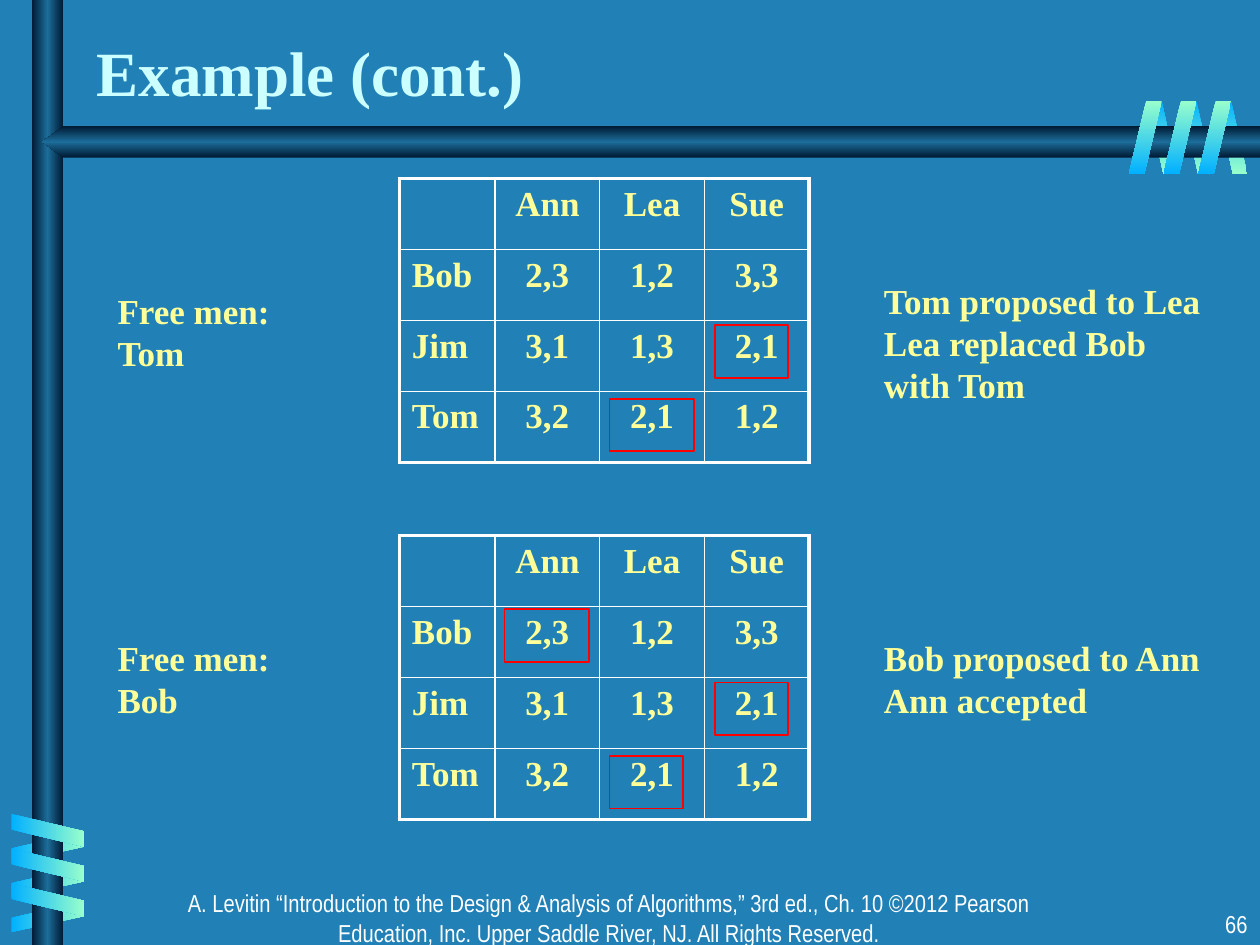
from dataclasses import dataclass

from lxml import etree
from pptx import Presentation
from pptx.dml.color import RGBColor
from pptx.enum.shapes import MSO_SHAPE
from pptx.enum.text import MSO_ANCHOR, PP_ALIGN
from pptx.oxml.ns import qn
from pptx.util import Cm, Pt

PARALLELOGRAM = MSO_SHAPE.PARALLELOGRAM
PENTAGON = MSO_SHAPE.PENTAGON
RECTANGLE = MSO_SHAPE.RECTANGLE
TOP, BOTTOM = MSO_ANCHOR.TOP, MSO_ANCHOR.BOTTOM
LEFT, CENTER, RIGHT = PP_ALIGN.LEFT, PP_ALIGN.CENTER, PP_ALIGN.RIGHT


@dataclass(frozen=True)
class TextStyle:
    """Font, size, colour and weight of one kind of text."""
    font: str
    size: int
    color: str
    bold: bool = False


@dataclass(frozen=True)
class Theme:
    """Colours and text styles of the slide."""
    background: str = "2181B7"
    bar: tuple = ("001932", "1C6D9A", "001932")
    coil: tuple = ("01B0FF", "99FFCC")
    border: str = "FFFFFF"
    mark: str = "FF0000"
    title: TextStyle = TextStyle("Times New Roman", 36, "CCFFFF", True)
    body: TextStyle = TextStyle("Times New Roman", 20, "FFFF99", True)
    footer: TextStyle = TextStyle("Arial Narrow", 14, "FFFFFF")


@dataclass(frozen=True)
class Step:
    """One step of the matching: texts and marked cells as (row, column, width)."""
    free_men: str
    free_men_drop: float
    outcome: str
    marks: tuple


THEME = Theme()
PREFERENCES = (
    ("", "Ann", "Lea", "Sue"),
    ("Bob", "2,3", "1,2", "3,3"),
    ("Jim", "3,1", "1,3", "2,1"),
    ("Tom", "3,2", "2,1", "1,2"),
)
STEPS = (
    Step("Free men:\nTom", 2.12, "Tom proposed to Lea\nLea replaced Bob with Tom",
         ((3, 2, 1.7), (2, 3, 1.48))),
    Step("Free men:\nBob", 1.9, "Bob proposed to Ann\nAnn accepted",
         ((1, 1, 1.7), (2, 3, 1.48), (3, 2, 1.48))),
)


def write(paragraph, text, style, align=LEFT):
    """Put styled text into a paragraph."""
    paragraph.text = text
    paragraph.alignment = align
    font = paragraph.font
    font.name, font.size, font.bold = style.font, Pt(style.size), style.bold
    font.color.rgb = RGBColor.from_string(style.color)


def add_text(slide, box, text, style, align=LEFT, anchor=TOP):
    """Add a wrapped text box; the box is left, top, width, height."""
    frame = slide.shapes.add_textbox(*map(Cm, box)).text_frame
    frame.word_wrap = True
    frame.vertical_anchor = anchor
    write(frame.paragraphs[0], text, style, align)


def add_gradient_shape(slide, kind, box, colors, angle, flip=False):
    """Add an unlined shape with evenly spaced gradient colours."""
    shape = slide.shapes.add_shape(kind, *map(Cm, box))
    shape.shadow.inherit = False
    shape.line.fill.background()
    shape.fill.gradient()
    shape.fill.gradient_angle = angle
    properties = shape.element.spPr
    stops = properties.find(qn("a:gradFill")).find(qn("a:gsLst"))
    for stop in list(stops):
        stops.remove(stop)
    for index, color in enumerate(colors):
        position = 100000 * index // (len(colors) - 1)
        stop = etree.SubElement(stops, qn("a:gs"), pos=str(position))
        etree.SubElement(stop, qn("a:srgbClr"), val=color)
    if flip:
        properties.find(qn("a:xfrm")).set("flipH", "1")
    return shape


def add_coil(slide, left, top, upright, behind):
    """Add three slanted bands along the coil, behind or in front of its bar."""
    thickness, length, pitch = (0.61 if behind else 0.66), 1.47, 0.7
    colors = THEME.coil if behind or upright else THEME.coil[::-1]
    for index in range(3):
        offset = index * pitch + (0.37 if behind else 0)
        x, y = left + offset, top
        if upright:
            x = left + (length - thickness) / 2
            y = top + offset - (length - thickness) / 2
        band = add_gradient_shape(
            slide, PARALLELOGRAM, (x, y, thickness, length), colors, 270, behind)
        band.adjustments[0] = 0.53
        band.rotation = 270 if upright else 0


def add_frame(slide, width, height):
    """Add the two crossing bars with a coil around each."""
    coils = ((width - 2.64, 2.03, False), (0.23, height - 2.64, True))
    for coil in coils:
        add_coil(slide, *coil, behind=True)
    add_gradient_shape(slide, RECTANGLE, (0.64, 0, 0.64, height), THEME.bar, 0)
    beam = add_gradient_shape(
        slide, PENTAGON, (0.85, 2.54, width - 0.85, 0.64), THEME.bar, 270, True)
    beam.adjustments[0] = 0.68
    for coil in coils:
        add_coil(slide, *coil, behind=False)


def add_borders(cell, outer_sides):
    """Draw the four cell borders, thicker on the outer sides."""
    properties = cell._tc.get_or_add_tcPr()
    for side in "LRTB":
        width = Pt(2.25 if side in outer_sides else 1)
        line = etree.SubElement(properties, qn(f"a:ln{side}"), w=str(width))
        fill = etree.SubElement(line, qn("a:solidFill"))
        etree.SubElement(fill, qn("a:srgbClr"), val=THEME.border)


def add_preferences(slide, left, top, marks):
    """Add the preference table and the boxes around its marked cells."""
    size = len(PREFERENCES)
    table = slide.shapes.add_table(
        size, size, Cm(left), Cm(top), Cm(8.26), Cm(5.72)).table
    table.first_row = table.horz_banding = False
    for index in range(size):
        table.columns[index].width = Cm(2.11 if index else 1.93)
        table.rows[index].height = Cm(1.43)
    last = size - 1
    for row, values in enumerate(PREFERENCES):
        for column, value in enumerate(values):
            cell = table.cell(row, column)
            edges = {"L": column == 0, "R": column == last,
                     "T": row == 0, "B": row == last}
            add_borders(cell, [side for side, outer in edges.items() if outer])
            cell.fill.background()
            write(cell.text_frame.paragraphs[0], value, THEME.body,
                  CENTER if column else LEFT)
    for row, column, width in marks:
        box = (left + 2.12 * column, top + 1.48 * row, width, 1.06)
        mark = slide.shapes.add_shape(RECTANGLE, *map(Cm, box))
        mark.shadow.inherit = False
        mark.fill.background()
        mark.line.color.rgb = RGBColor.from_string(THEME.mark)
        mark.line.width = Pt(1)


def add_step(slide, left, top, step):
    """Add one step: free men, preference table and outcome."""
    add_text(slide, (left, top + step.free_men_drop, 5.72, 1.96),
             step.free_men, THEME.body)
    add_preferences(slide, left + 5.93, top, step.marks)
    add_text(slide, (left + 15.45, top + 1.9, 7.2, 1.96), step.outcome, THEME.body)


def add_footer(slide, width, top):
    """Add the source line and the slide number."""
    add_text(slide, (3.39, top, 17.78, 0.85),
             "A. Levitin “Introduction to the Design & Analysis of Algorithms,” "
             "3rd ed., Ch. 10 ©2012 Pearson Education, Inc. Upper Saddle River, NJ. "
             "All Rights Reserved.", THEME.footer, CENTER)
    add_text(slide, (width - 5.29, top + 0.42, 5.29, 0.85), "66", THEME.footer, RIGHT)


def main():
    """Build the slide and save it."""
    width, height = 25.4, 19.05
    presentation = Presentation()
    presentation.slide_width, presentation.slide_height = Cm(width), Cm(height)
    slide = presentation.slides.add_slide(presentation.slide_layouts[6])
    slide.background.fill.solid()
    slide.background.fill.fore_color.rgb = RGBColor.from_string(THEME.background)
    add_frame(slide, width, height)
    add_text(slide, (1.7, 0.42, 21.08, 1.9), "Example (cont.)", THEME.title,
             anchor=BOTTOM)
    for index, step in enumerate(STEPS):
        add_step(slide, 2.12, 3.6 + 7.2 * index, step)
    add_footer(slide, width, 17.78)
    presentation.save("out.pptx")


if __name__ == "__main__":
    main()
